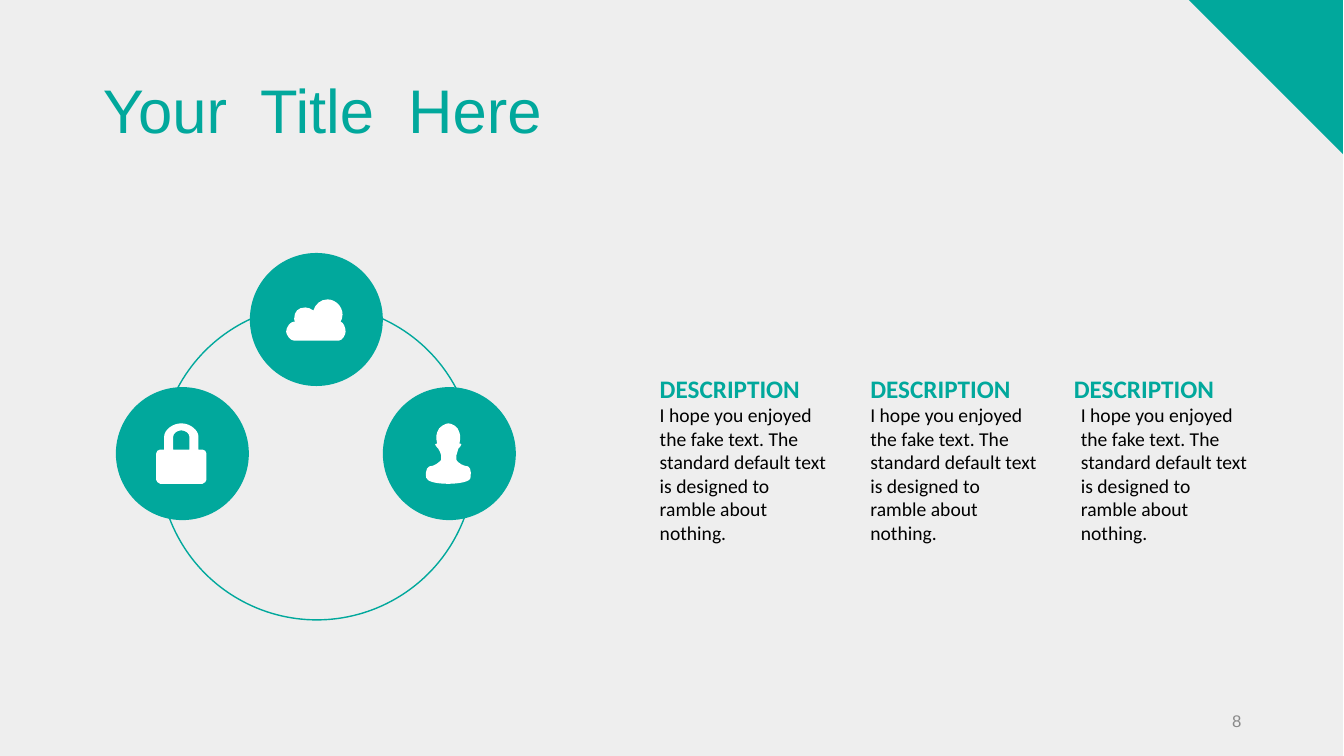
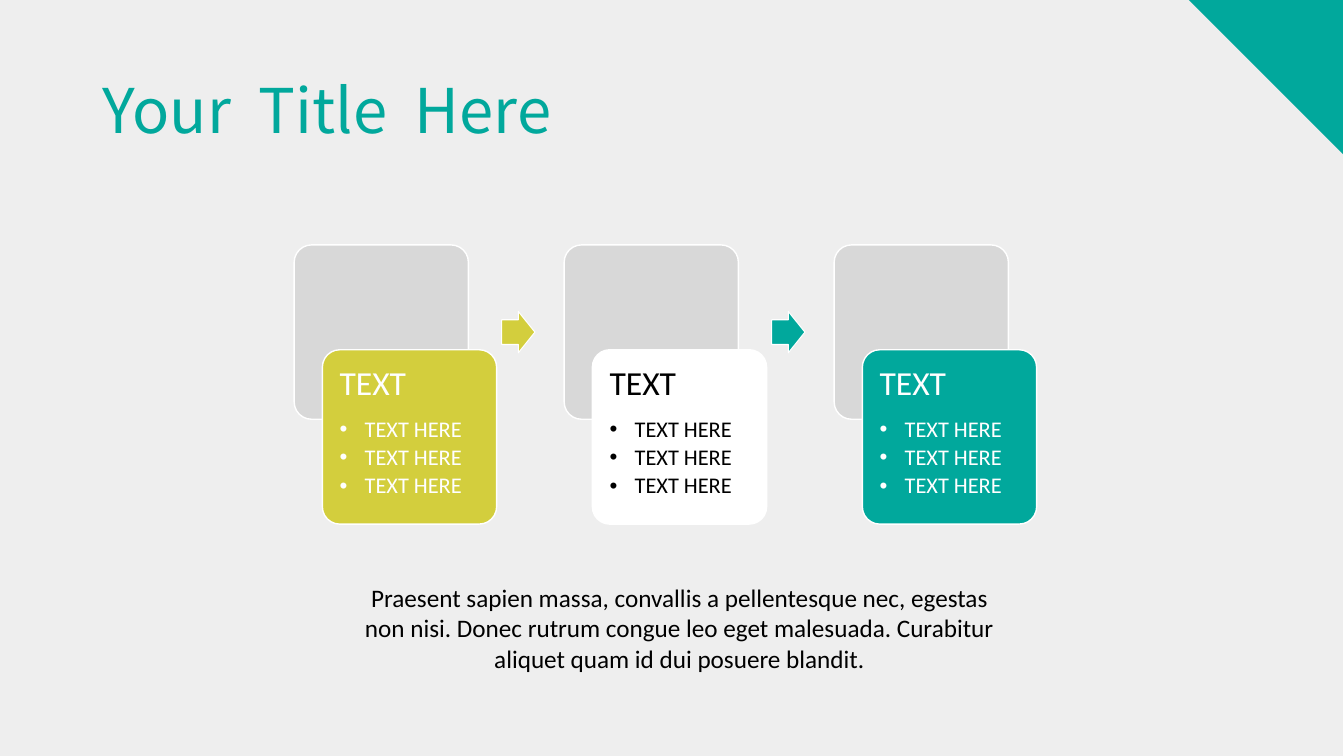
import pptx
import pptx.util
import pptx.dml.color
import pptx.enum.shapes
import pptx.enum.text
import pptx.oxml
import pptx.oxml.ns

Inches = pptx.util.Inches
Pt = pptx.util.Pt
Shapes = pptx.enum.shapes.MSO_SHAPE
Align = pptx.enum.text.PP_ALIGN
Anchor = pptx.enum.text.MSO_ANCHOR
AutoSize = pptx.enum.text.MSO_AUTO_SIZE
NAMESPACE = pptx.oxml.ns.nsdecls("a")

COLORS = {
    "background": "EEEEEE",
    "teal": "01A89C",
    "lime": "D3CE3D",
    "gray": "D8D8D8",
    "white": "FFFFFF",
    "black": "000000",
    "page": "898989",
}

# Icon outlines in hundredths of an inch: pairs are corners, sixes are Bezier curves
PERSON = [[
    (39, 42), (35, 41, 31, 37, 31, 36), (31, 32), (31, 30, 33, 27, 33, 25),
    (33, 25, 34, 25, 34, 24), (35, 24, 35, 22, 36, 21), (36, 20, 34, 20, 34, 20),
    (34, 20, 36, 13, 34, 9), (33, 3, 26, 0, 23, 0), (21, 0, 13, 3, 12, 9),
    (10, 13, 12, 20, 12, 20), (12, 20, 10, 20, 10, 21), (11, 22, 11, 24, 12, 24),
    (13, 25), (14, 27, 16, 30, 16, 32), (16, 36), (16, 37, 11, 41, 8, 42),
    (2, 42, 0, 46, 1, 54), (2, 58, 12, 60, 23, 60), (33, 60, 45, 58, 45, 54),
    (46, 46, 45, 42, 39, 42),
]]
CLOUD = [[
    (54, 22), (55, 21, 56, 18, 56, 15), (56, 7, 49, 0, 41, 0), (34, 0, 29, 5, 27, 11),
    (24, 9, 22, 8, 19, 8), (12, 8, 8, 12, 8, 19), (8, 20, 8, 22, 9, 22), (8, 22),
    (4, 22, 0, 28, 0, 32), (0, 35, 4, 41, 8, 41), (52, 41), (56, 41, 59, 35, 59, 32),
    (59, 28, 57, 23, 54, 22),
]]
PADLOCK = [
    [
        (46, 26), (42, 26), (42, 13), (42, 7, 34, 0, 25, 0), (16, 0, 8, 7, 8, 13),
        (8, 26), (4, 26), (2, 26, 0, 28, 0, 30), (0, 56), (0, 57, 2, 60, 4, 60),
        (46, 60), (48, 60, 50, 57, 50, 56), (50, 30), (50, 28, 48, 26, 46, 26),
    ],
    [(33, 26), (17, 26), (17, 13), (17, 10, 21, 7, 25, 7), (29, 7, 33, 10, 33, 13)],
]


def rgb(name):
    return pptx.dml.color.RGBColor.from_string(COLORS[name])


def write(frame, text, *, size, color="black", font="Calibri", bold=False,
          align=Align.LEFT, spacing=None, after=None, bullet=False):
    """Add one formatted paragraph to a text frame."""
    paragraph = frame.paragraphs[0]
    if paragraph.runs:
        paragraph = frame.add_paragraph()
    if bullet:
        properties = paragraph._p.get_or_add_pPr()
        properties.set("marL", str(Inches(0.25)))
        properties.set("indent", str(-Inches(0.25)))
        for element in ('buFont typeface="Arial"', 'buChar char="•"'):
            properties.append(pptx.oxml.parse_xml(f"<a:{element} {NAMESPACE}/>"))
    paragraph.alignment = align
    if spacing is not None:
        paragraph.line_spacing = spacing
    if after is not None:
        paragraph.space_after = Pt(after)
    run = paragraph.add_run()
    run.text = text
    run.font.name = font
    run.font.size = Pt(size)
    run.font.bold = bold
    run.font.color.rgb = rgb(color)


def curve_xml(shape, points):
    """Make a Bezier element from slide points, relative to the shape."""
    inner = "".join(f'<a:pt x="{x - shape.left}" y="{y - shape.top}"/>' for x, y in points)
    return pptx.oxml.parse_xml(f"<a:cubicBezTo {NAMESPACE}>{inner}</a:cubicBezTo>")


class Deck:
    def __init__(self):
        self.presentation = pptx.Presentation()
        self.presentation.slide_width = Inches(13.34)
        self.presentation.slide_height = Inches(7.5)
        self.slide = None
        self.has_backdrop = False

    def new_slide(self, title, font):
        self.slide = self.presentation.slides.add_slide(self.presentation.slide_layouts[5])
        if not self.has_backdrop:
            self.add_backdrop()
        corner = self.shape(Shapes.RIGHT_TRIANGLE, 11.8, 0, 1.53, 1.53, fill="teal")
        corner.rotation = 180
        placeholder = self.slide.shapes.title
        placeholder.left, placeholder.top = Inches(0.92), Inches(0.4)
        placeholder.width, placeholder.height = Inches(11.5), Inches(1.45)
        frame = placeholder.text_frame
        frame.auto_size = AutoSize.NONE
        frame.vertical_anchor = Anchor.MIDDLE
        write(frame, title, size=44, color="teal", font=font, spacing=0.9)

    def add_backdrop(self):
        """Put the gray backdrop behind everything on the slide master."""
        backdrop = self.shape(Shapes.RECTANGLE, 0, 0, 13.33, 7.5, fill="background")
        master_tree = self.presentation.slide_master.shapes._spTree
        master_tree.insert(2, backdrop._element)
        self.has_backdrop = True

    def style(self, shape, fill=None, line=None, line_width=1):
        shape.shadow.inherit = False
        if fill:
            shape.fill.solid()
            shape.fill.fore_color.rgb = rgb(fill)
        else:
            shape.fill.background()
        if line:
            shape.line.color.rgb = rgb(line)
            shape.line.width = Pt(line_width)
        else:
            shape.line.fill.background()

    def shape(self, kind, left, top, width, height, adjustments=(), **look):
        shape = self.slide.shapes.add_shape(
            kind, Inches(left), Inches(top), Inches(width), Inches(height))
        for index, value in enumerate(adjustments):
            shape.adjustments[index] = value
        self.style(shape, **look)
        return shape

    def icon(self, contours, left, top):
        def place(segment):
            return [(Inches(left + x / 100), Inches(top + y / 100))
                    for x, y in zip(segment[::2], segment[1::2])]

        # Straight outline through the end points
        builder = None
        segments = []
        for contour in contours:
            start, *rest = [place(segment) for segment in contour]
            if builder is None:
                builder = self.slide.shapes.build_freeform(*start[0])
            else:
                builder.move_to(*start[0])
            builder.add_line_segments([points[-1] for points in rest], close=True)
            segments.extend(rest)
        shape = builder.convert_to_shape()

        # Bend the segments that have control points
        lines = list(shape._element.iter(pptx.oxml.ns.qn("a:lnTo")))
        for line, points in zip(lines, segments):
            if len(points) == 3:
                line.getparent().replace(line, curve_xml(shape, points))
        self.style(shape, fill="white")

    def text(self, text, left, top, width, height, middle=False, **text_format):
        box = self.slide.shapes.add_textbox(
            Inches(left), Inches(top), Inches(width), Inches(height))
        frame = box.text_frame
        frame.word_wrap = True
        if middle:
            frame.vertical_anchor = Anchor.MIDDLE
        else:
            frame.auto_size = AutoSize.SHAPE_TO_FIT_TEXT
        write(frame, text, **text_format)

    def card(self, left, top, size, fill, color):
        card = self.shape(Shapes.ROUNDED_RECTANGLE, left, top, size, size, [0.1],
                          fill=fill, line="white")
        frame = card.text_frame
        frame.word_wrap = True
        frame.vertical_anchor = Anchor.TOP
        frame.margin_left = frame.margin_right = Inches(0.12)
        frame.margin_top = frame.margin_bottom = Inches(0.12)
        write(frame, "TEXT", size=24, color=color, spacing=0.9, after=10.5)
        for _ in range(3):
            write(frame, "TEXT HERE", size=16, color=color, spacing=0.9, after=3, bullet=True)


def build_circle_slide(deck):
    deck.new_slide("Your  Title  Here", "Arial")

    # Ring with three icon circles
    deck.shape(Shapes.OVAL, 1.58, 3.02, 3.13, 3.13, line="teal")
    for left, top in ((2.48, 2.51), (1.15, 3.84), (3.8, 3.84)):
        deck.shape(Shapes.OVAL, left, top, 1.32, 1.32, fill="teal")
    deck.icon(PERSON, 4.22, 4.2)
    deck.icon(CLOUD, 2.84, 2.97)
    deck.icon(PADLOCK, 1.55, 4.2)

    # Description columns
    for heading_left, body_left in ((6.45, 6.45), (8.54, 8.54), (10.56, 10.63)):
        deck.text("DESCRIPTION", heading_left, 3.65, 2.09, 0.4,
                  size=18, color="teal", bold=True)
        deck.text("I hope you enjoyed the fake text. The standard default text "
                  "is designed to ramble about nothing.",
                  body_left, 3.95, 1.85, 1.5, size=14)

    # Page number
    deck.text("8", 9.42, 6.95, 3, 0.4, middle=True, size=12, color="page",
              font="Arial", align=Align.RIGHT)


def build_process_slide(deck):
    deck.new_slide("Your  Title  Here", "Noto Sans CJK SC")

    # Three steps, each a gray tile with a text card, joined by arrows
    steps = [("lime", "white", "lime"), ("white", "black", "teal"), ("teal", "white", None)]
    for index, (fill, color, arrow) in enumerate(steps):
        left = 2.92 + index * 2.68
        deck.shape(Shapes.ROUNDED_RECTANGLE, left, 2.43, 1.73, 1.73, [0.1],
                   fill="gray", line="white")
        deck.card(left + 0.28, 3.47, 1.73, fill, color)
        if arrow:
            deck.shape(Shapes.RIGHT_ARROW, left + 2.06, 3.09, 0.33, 0.41, [0.6, 0.5],
                       fill=arrow, line="white", line_width=0.75)

    # Closing text
    deck.text("Praesent sapien massa, convallis a pellentesque nec, egestas non nisi. "
              "Donec rutrum congue leo eget malesuada. Curabitur aliquet quam id dui "
              "posuere blandit.", 3.41, 5.73, 6.67, 1, size=18, align=Align.CENTER)


def main():
    deck = Deck()
    build_circle_slide(deck)
    build_process_slide(deck)
    deck.presentation.save("out.pptx")


if __name__ == "__main__":
    main()
